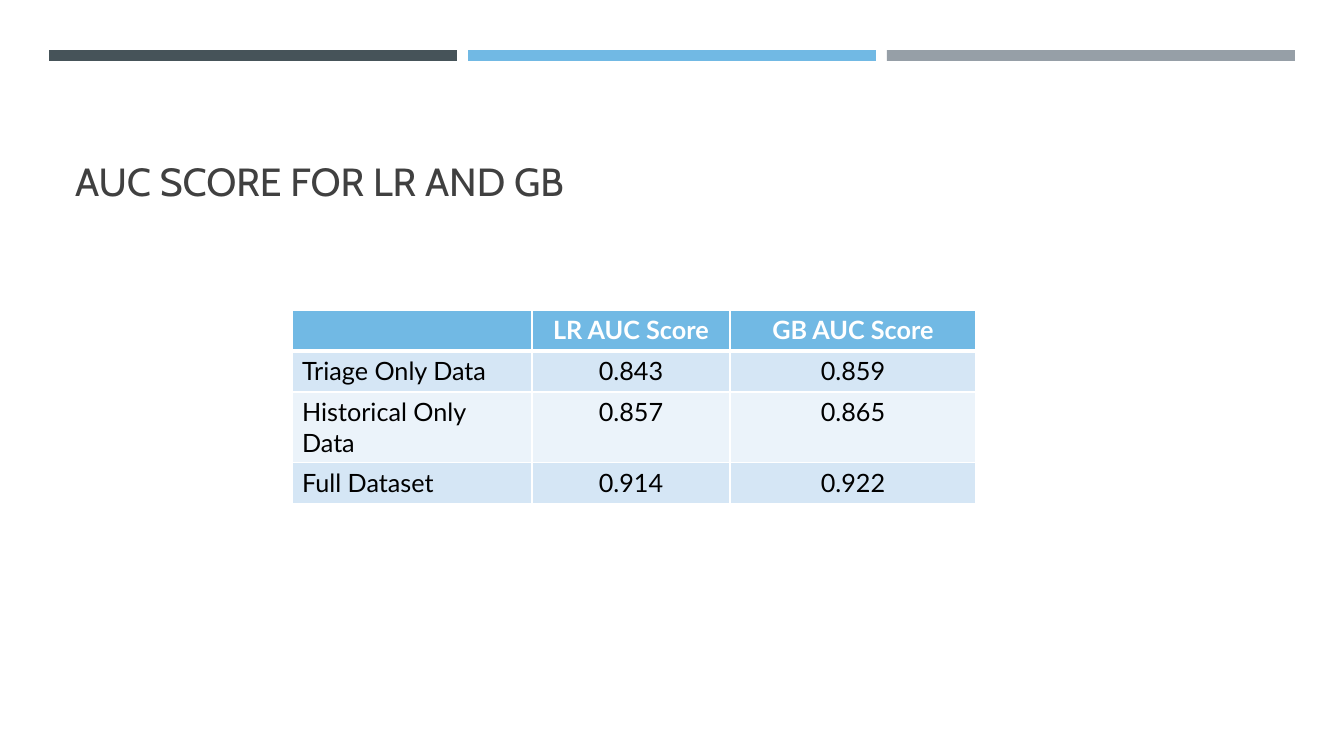
"""Builds a slide with a table of AUC scores for two models."""
from dataclasses import dataclass

from lxml.etree import SubElement
from pptx import Presentation
from pptx.dml.color import RGBColor
from pptx.enum.shapes import MSO_SHAPE
from pptx.enum.text import MSO_ANCHOR, MSO_AUTO_SIZE, PP_ALIGN
from pptx.oxml.ns import qn
from pptx.util import Pt

EMU_PER_PX = 914400 / 100.8


def px(n):
    return round(n * EMU_PER_PX)


@dataclass(frozen=True)
class Theme:
    slate: str = "465359"
    blue: str = "71B9E4"
    gray: str = "969FA7"
    title: str = "404040"
    text: str = "000000"
    white: str = "FFFFFF"
    bands: tuple = ("D5E6F5", "EBF3FA")
    title_font: str = "Cabin"
    body_font: str = "Lato"
    title_size: int = 28
    body_size: int = 18
    rule: int = 1
    header_rule: int = 3


class Deck:
    def __init__(self, theme, width, height):
        self.theme = theme
        self.prs = Presentation()
        self.prs.slide_width, self.prs.slide_height = px(width), px(height)
        self.s = self.prs.slides.add_slide(self.prs.slide_layouts[5])

    def style(self, p, font, size, color, bold=False, align=PP_ALIGN.LEFT):
        p.alignment = align
        for r in p.runs:
            r.font.name, r.font.size, r.font.bold = font, Pt(size), bold
            r.font.color.rgb = RGBColor.from_string(color)

    def bar(self, x, y, w, h, color):
        sp = self.s.shapes.add_shape(MSO_SHAPE.RECTANGLE, px(x), px(y), px(w), px(h))
        sp.shadow.inherit = False
        sp.fill.solid()
        sp.fill.fore_color.rgb = RGBColor.from_string(color)
        sp.line.fill.background()

    def title(self, text, x, y, w, h):
        sp = self.s.shapes.title
        sp.left, sp.top, sp.width, sp.height = px(x), px(y), px(w), px(h)
        tf = sp.text_frame
        tf.text = text
        tf.word_wrap = True
        tf.auto_size = MSO_AUTO_SIZE.NONE
        tf.vertical_anchor = MSO_ANCHOR.BOTTOM
        t = self.theme
        self.style(tf.paragraphs[0], t.title_font, t.title_size, t.title)

    def borders(self, cell, top, bottom):
        t = self.theme
        tc_pr = cell._tc.get_or_add_tcPr()
        widths = {"a:lnL": t.rule, "a:lnR": t.rule, "a:lnT": top, "a:lnB": bottom}
        for tag, width in widths.items():
            ln = SubElement(tc_pr, qn(tag), w=str(Pt(width)))
            fill = SubElement(ln, qn("a:solidFill"))
            SubElement(fill, qn("a:srgbClr"), val=t.white)

    def table(self, rows, x, y, widths, row_h):
        t = self.theme
        tbl = self.s.shapes.add_table(len(rows), len(widths), px(x), px(y),
                                      px(sum(widths)), px(row_h * len(rows))).table
        for col, w in zip(tbl.columns, widths):
            col.width = px(w)
        for i, values in enumerate(rows):
            tbl.rows[i].height = px(row_h)
            header = i == 0
            fill = t.blue if header else t.bands[(i - 1) % 2]
            color = t.white if header else t.text
            for j, value in enumerate(values):
                cell = tbl.cell(i, j)
                self.borders(cell, t.header_rule if i == 1 else t.rule,
                             t.header_rule if header else t.rule)
                cell.fill.solid()
                cell.fill.fore_color.rgb = RGBColor.from_string(fill)
                cell.text_frame.text = value
                self.style(cell.text_frame.paragraphs[0], t.body_font, t.body_size,
                           color, header, PP_ALIGN.CENTER if j else PP_ALIGN.LEFT)


def main():
    theme = Theme()
    deck = Deck(theme, 1344, 756)
    for i, color in enumerate((theme.slate, theme.blue, theme.gray)):
        deck.bar(49 + 419 * i, 50, 408, 11, color)
    deck.title("AUC SCORE FOR LR AND GB", 65, 78, 1216, 131)
    scores = [
        ("", "LR AUC Score", "GB AUC Score"),
        ("Triage Only Data", "0.843", "0.859"),
        ("Historical Only Data", "0.857", "0.865"),
        ("Full Dataset", "0.914", "0.922"),
    ]
    deck.table(scores, 292, 310, (240, 198, 246), 41)
    deck.prs.save("out.pptx")


if __name__ == "__main__":
    main()
